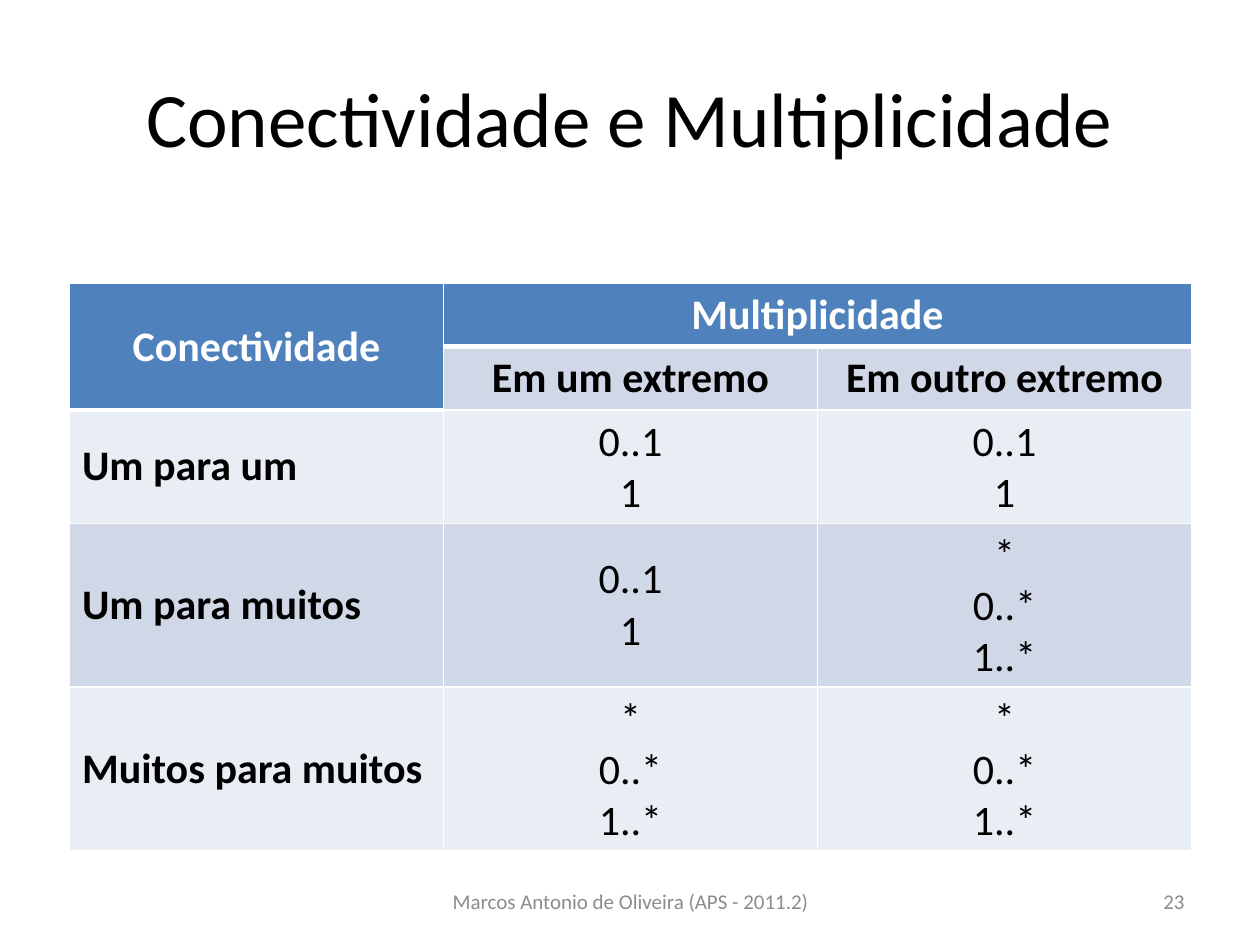
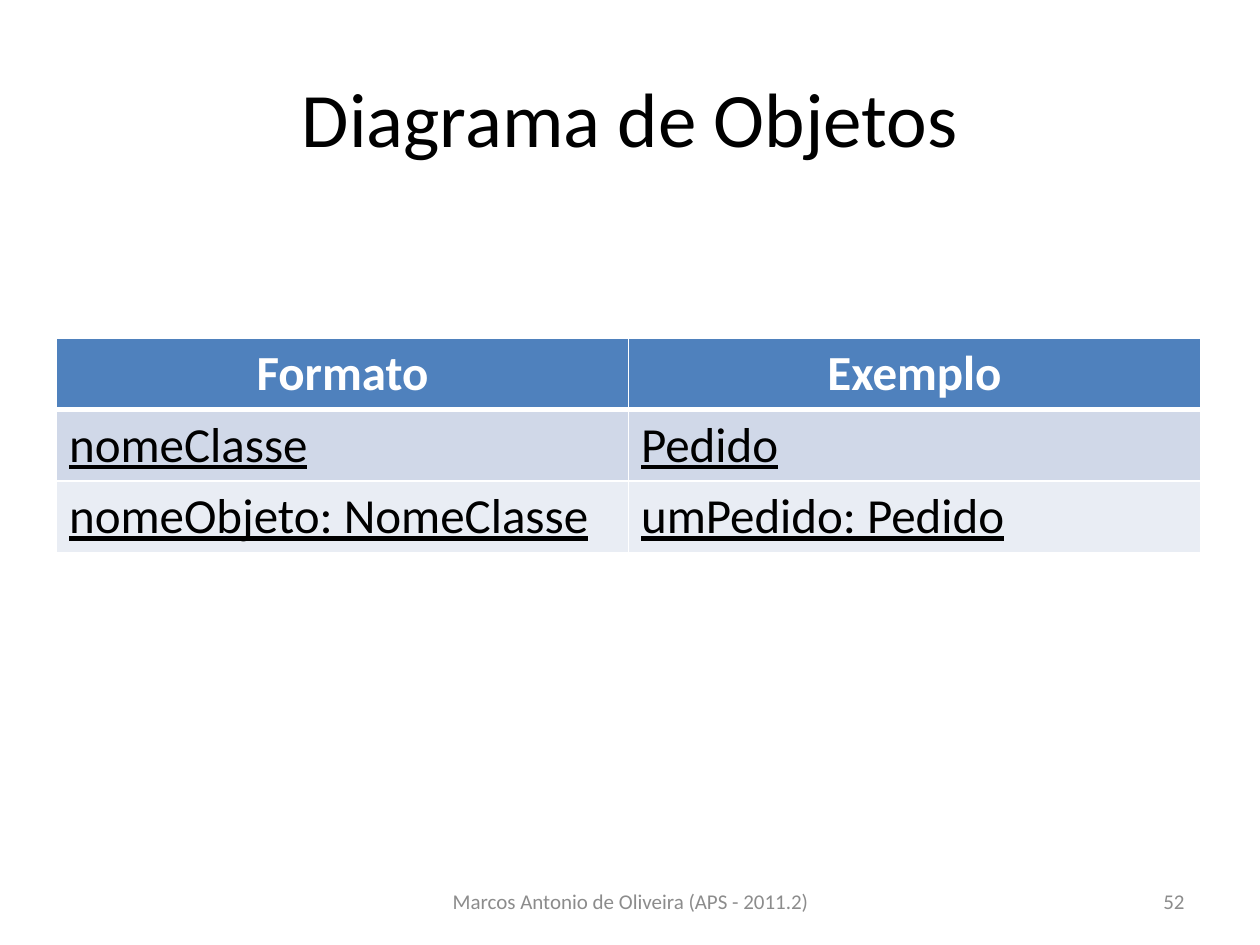
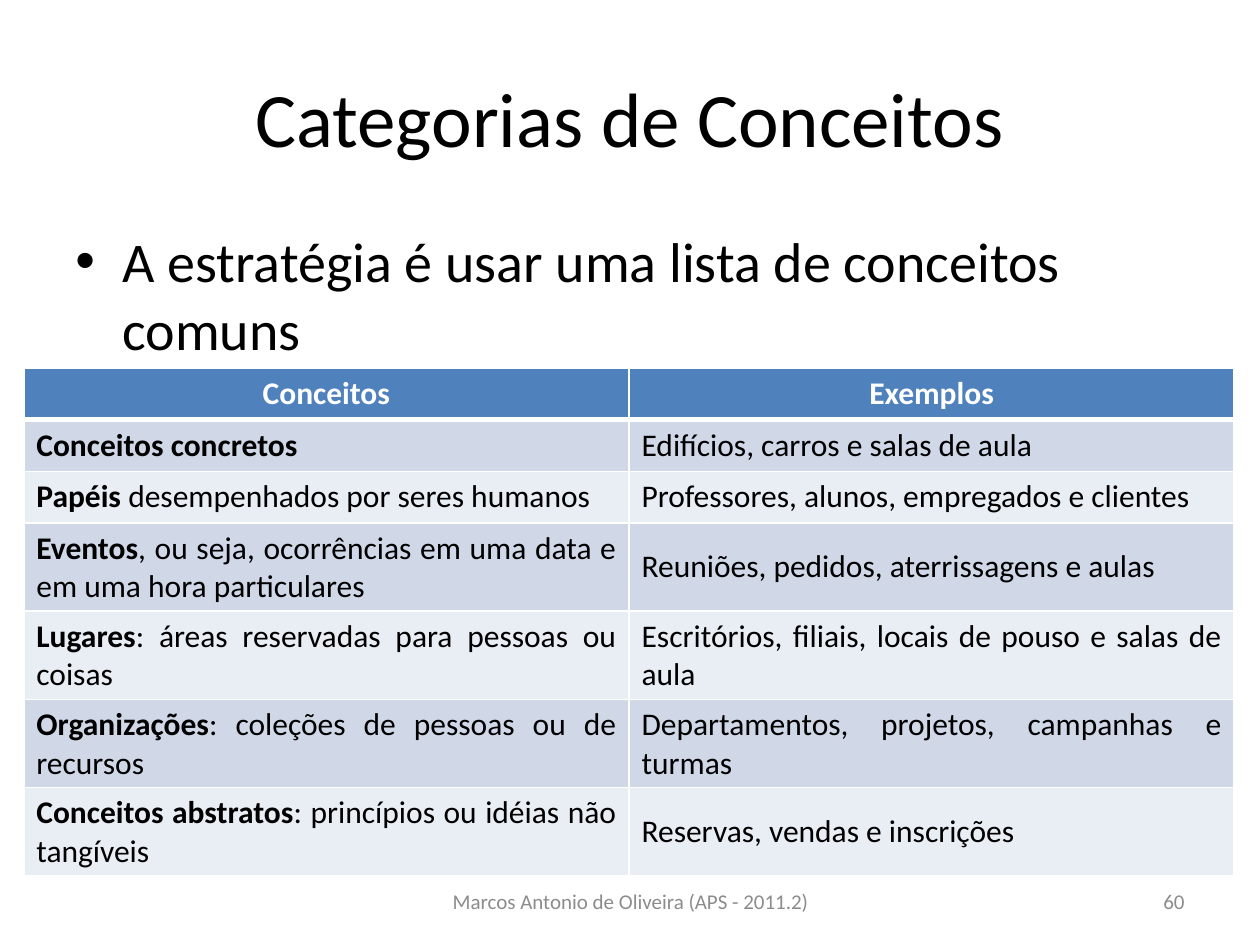
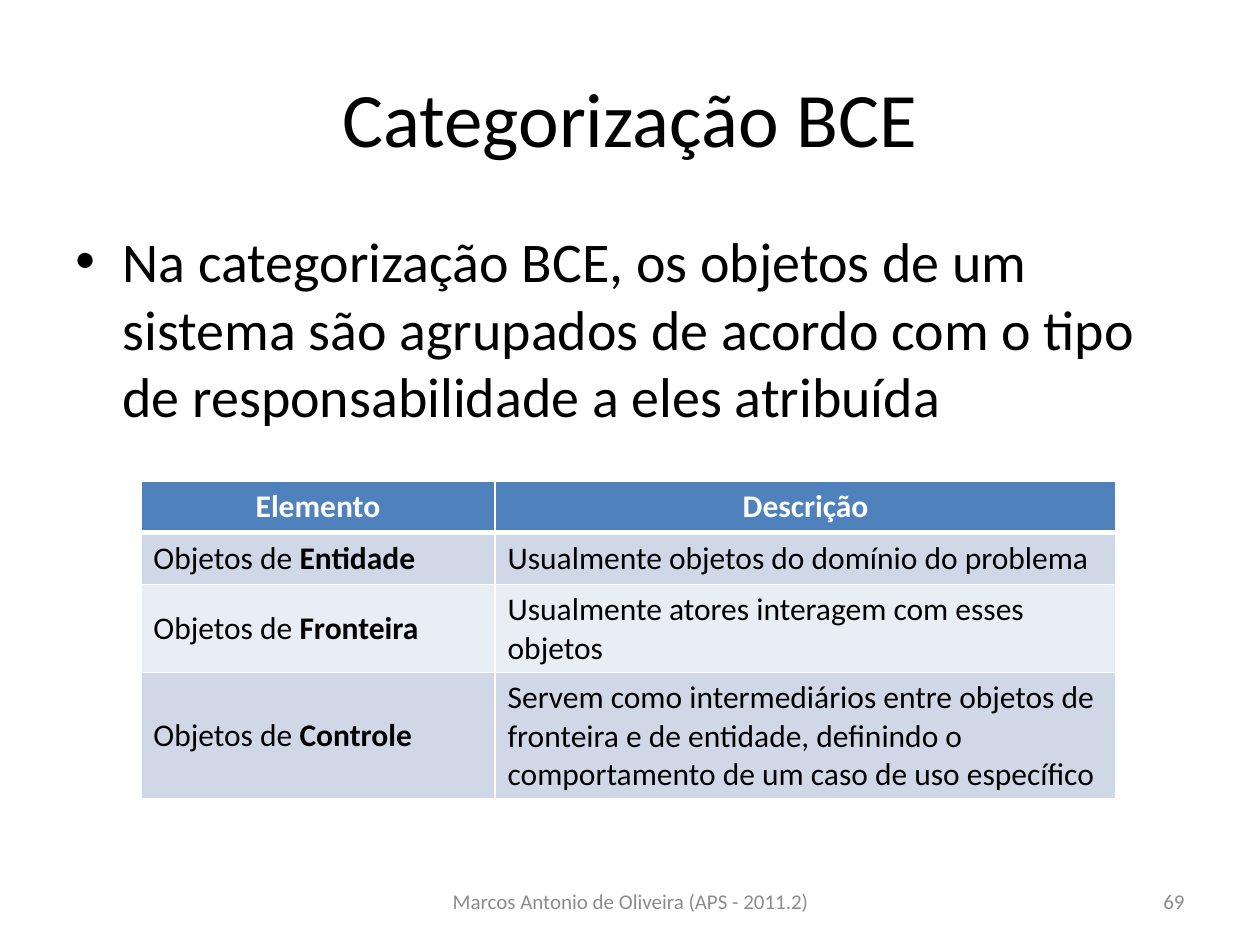
from dataclasses import dataclass

from pptx import Presentation
from pptx import util as u
from pptx.dml.color import RGBColor
from pptx.enum import text as t
from pptx.oxml import parse_xml
from pptx.oxml.ns import nsdecls

LEFT, CENTER, RIGHT, JUSTIFY = (
    t.PP_ALIGN.LEFT, t.PP_ALIGN.CENTER, t.PP_ALIGN.RIGHT, t.PP_ALIGN.JUSTIFY)
TOP, MIDDLE = t.MSO_ANCHOR.TOP, t.MSO_ANCHOR.MIDDLE


@dataclass(frozen=True)
class Theme:
    font: str = "Calibri"
    ink: str = "000000"
    muted: str = "8C8C8C"
    white: str = "FFFFFF"
    header: str = "4F81BD"
    bands: tuple = ("E9EDF4", "D0D8E8")
    title_size: float = 44
    body_size: float = 32
    footer_size: float = 12
    thin: float = 1
    thick: float = 3
    footer: str = "Marcos Antonio de Oliveira (APS - 2011.2)"


def put(tf, content, *, size, color=Theme.ink, font=Theme.font, align=LEFT,
        bold=False, underline=False):
    """Write text: a newline starts a paragraph, a bar switches bold."""
    for i, line in enumerate(content.split("\n")):
        p = tf.paragraphs[0] if i == 0 else tf.add_paragraph()
        p.alignment = align
        for j, part in enumerate(line.split("|")):
            if not part:
                continue
            r = p.add_run()
            r.text = part
            r.font.name = font
            r.font.size = u.Pt(size)
            r.font.color.rgb = RGBColor.from_string(color)
            r.font.bold = bold != (j % 2 == 1)
            r.font.underline = underline


def border(cell, side, width, color):
    cell._tc.get_or_add_tcPr().append(parse_xml(
        f'<a:ln{side} {nsdecls("a")} w="{u.Pt(width)}"><a:solidFill>'
        f'<a:srgbClr val="{color}"/></a:solidFill></a:ln{side}>'))


class Deck:
    def __init__(self, theme):
        self.th = theme
        self.prs = Presentation()
        self.prs.slide_width, self.prs.slide_height = u.Cm(25.4), u.Cm(19.05)
        self.s = None

    def slide(self, title, number):
        """Start a slide with its title, footer and number."""
        th = self.th
        self.s = self.prs.slides.add_slide(self.prs.slide_layouts[5])
        sp = self.s.shapes.title
        sp.left, sp.top, sp.width, sp.height = map(u.Cm, (1.27, 0.76, 22.86, 3.18))
        sp.text_frame.vertical_anchor = MIDDLE
        put(sp.text_frame, title, size=th.title_size, align=CENTER)
        footer = dict(anchor=MIDDLE, size=th.footer_size, color=th.muted)
        self.box(th.footer, 8.69, 17.65, 8.05, 1.02, align=CENTER, **footer)
        self.box(str(number), 18.21, 17.65, 5.92, 1.02, align=RIGHT, **footer)

    def box(self, content, x, y, w, h, anchor=TOP, **fmt):
        tf = self.s.shapes.add_textbox(*map(u.Cm, (x, y, w, h))).text_frame
        tf.word_wrap = True
        tf.vertical_anchor = anchor
        put(tf, content, **fmt)
        return tf

    def bullet(self, content):
        tf = self.box(content, 1.27, 4.45, 22.86, 12.57, size=self.th.body_size)
        p = tf.paragraphs[0]
        p.space_before = u.Pt(0.2 * self.th.body_size)
        pPr = p._p.get_or_add_pPr()
        pPr.set("marL", str(u.Cm(0.95)))
        pPr.set("indent", str(u.Cm(-0.95)))
        pPr.append(parse_xml(f'<a:buFont {nsdecls("a")} typeface="Arial"/>'))
        pPr.append(parse_xml(f'<a:buChar {nsdecls("a")} char="•"/>'))

    def table(self, rows, x, y, cols, height, *, size, row_height=1.04,
              aligns=(LEFT, LEFT), underline=False, merges=()):
        """Rows grow with their text; None marks a cell covered by a merge."""
        th = self.th
        frame = self.s.shapes.add_table(
            len(rows), len(cols), u.Cm(x), u.Cm(y),
            u.Cm(sum(cols)), u.Cm(row_height * len(rows)))
        frame.height = u.Cm(height)
        tb = frame.table
        tb.horz_banding = False
        for col, w in zip(tb.columns, cols):
            col.width = u.Cm(w)
        for first, last in merges:
            tb.cell(*first).merge(tb.cell(*last))

        def is_header(i, j):
            return i == 0 or (i > 0 and rows[i][j] is None)

        for i, row in enumerate(rows):
            for j, content in enumerate(row):
                cell, head = tb.cell(i, j), is_header(i, j)
                below_head = i > 0 and is_header(i - 1, j)
                edges = dict(L=th.thin, R=th.thin,
                             T=th.thick if below_head else th.thin,
                             B=th.thick if head else th.thin)
                for side, width in edges.items():
                    border(cell, side, width, th.white)
                cell.fill.solid()
                cell.fill.fore_color.rgb = RGBColor.from_string(
                    th.header if head else th.bands[i % 2])
                if content is None:
                    continue
                tall = cell.is_merge_origin and cell.span_height > 1
                cell.vertical_anchor = TOP if head and not tall else MIDDLE
                put(cell.text_frame, content, size=size, bold=head,
                    color=th.white if head else th.ink,
                    align=CENTER if head else aligns[j],
                    underline=underline and not head)


def main():
    deck = Deck(Theme())

    # Connectivity and multiplicity
    one, many = "0..1\n1", "*\n0..*\n1..*"
    deck.slide("Conectividade e Multiplicidade", 23)
    deck.table([
        ("Conectividade", "Multiplicidade", None),
        (None, "|Em um extremo|", "|Em outro extremo|"),
        ("|Um para um|", one, one),
        ("|Um para muitos|", one, many),
        ("|Muitos para muitos|", many, many),
    ], 1.4, 5.72, [7.54] * 3, 11.43, size=24, row_height=0.51,
        aligns=(JUSTIFY, CENTER, CENTER),
        merges=[((0, 0), (1, 0)), ((0, 1), (0, 2))])

    # Object diagram
    deck.slide("Diagrama de Objetos", 52)
    deck.table([
        ("Formato", "Exemplo"),
        ("nomeClasse", "Pedido"),
        ("nomeObjeto: NomeClasse", "umPedido: Pedido"),
    ], 1.14, 6.81, [11.53] * 2, 4.32, size=28, underline=True)

    # Concept categories
    deck.slide("Categorias de Conceitos", 60)
    deck.bullet("A estratégia é usar uma lista de conceitos comuns")
    deck.table([
        ("Conceitos", "Exemplos"),
        ("|Conceitos concretos|", "Edifícios, carros e salas de aula"),
        ("|Papéis| desempenhados por seres humanos",
         "Professores, alunos, empregados e clientes"),
        ("|Eventos|, ou seja, ocorrências em uma data e em uma hora particulares",
         "Reuniões, pedidos, aterrissagens e aulas"),
        ("|Lugares|: áreas reservadas para pessoas ou coisas",
         "Escritórios, filiais, locais de pouso e salas de aula"),
        ("|Organizações|: coleções de pessoas ou de recursos",
         "Departamentos, projetos, campanhas e turmas"),
        ("|Conceitos abstratos|: princípios ou idéias não tangíveis",
         "Reservas, vendas e inscrições"),
    ], 0.48, 7.42, [12.2] * 2, 10.21, size=18, aligns=(JUSTIFY, JUSTIFY))

    # BCE categories
    deck.slide("Categorização BCE", 69)
    deck.bullet("Na categorização BCE, os objetos de um sistema são agrupados "
                "de acordo com o tipo de responsabilidade a eles atribuída")
    deck.table([
        ("Elemento", "Descrição"),
        ("Objetos de |Entidade|", "Usualmente objetos do domínio do problema"),
        ("Objetos de |Fronteira|", "Usualmente atores interagem com esses objetos"),
        ("Objetos de |Controle|",
         "Servem como intermediários entre objetos de fronteira e de entidade, "
         "definindo o comportamento de um caso de uso específico"),
    ], 2.84, 9.7, [7.14, 12.52], 6.38, size=18)

    deck.prs.save("out.pptx")


if __name__ == "__main__":
    main()
